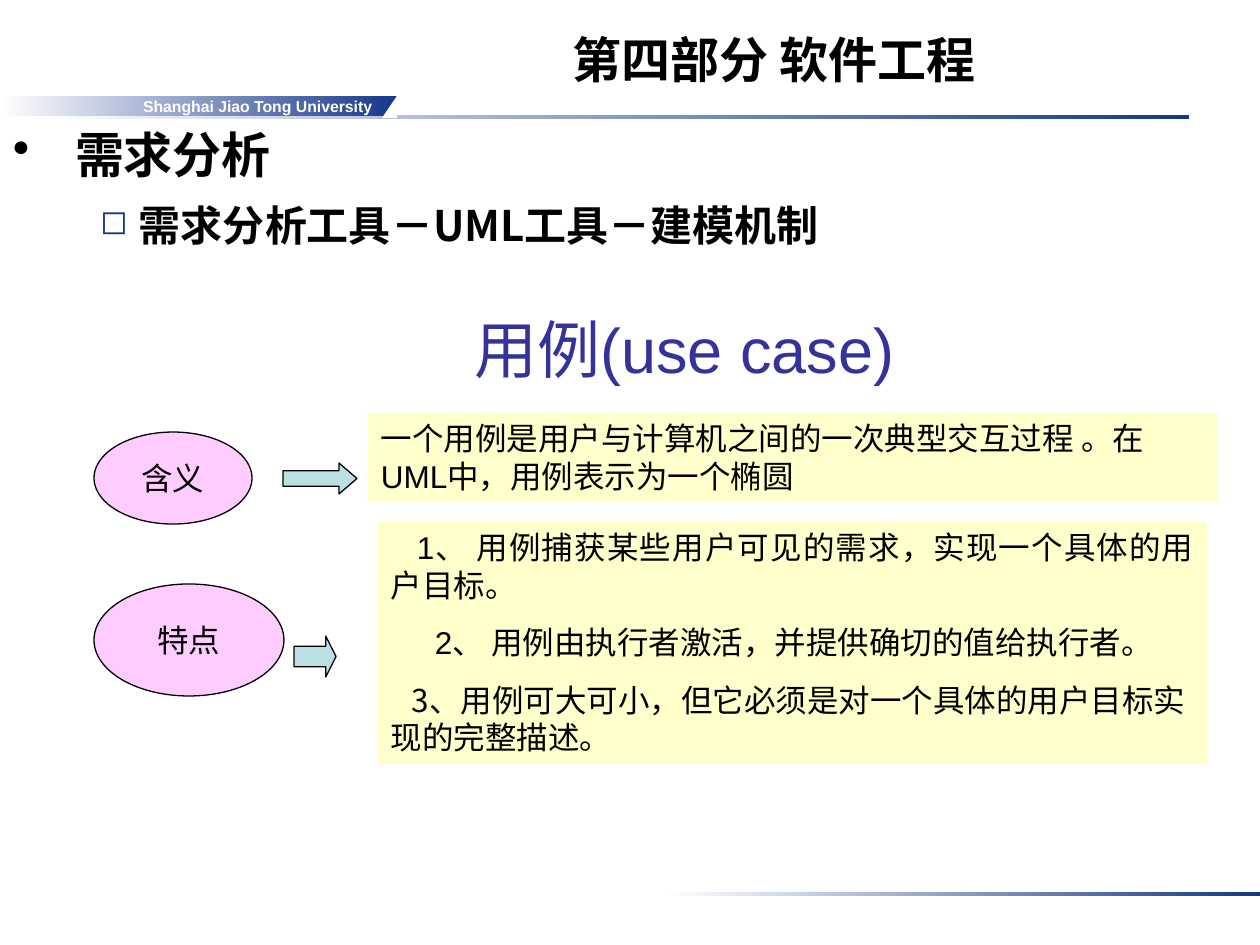
from dataclasses import dataclass

from lxml import etree
from pptx import Presentation
from pptx.dml.color import RGBColor
from pptx.enum.shapes import MSO_SHAPE
from pptx.enum.text import MSO_ANCHOR, MSO_AUTO_SIZE, PP_ALIGN
from pptx.oxml.ns import qn
from pptx.util import Emu, Pt

RECT, OVAL = MSO_SHAPE.RECTANGLE, MSO_SHAPE.OVAL
ARROW, TRIANGLE = MSO_SHAPE.RIGHT_ARROW, MSO_SHAPE.RIGHT_TRIANGLE
LEFT, CENTER, RIGHT, JUSTIFY = PP_ALIGN.LEFT, PP_ALIGN.CENTER, PP_ALIGN.RIGHT, PP_ALIGN.JUSTIFY
TOP, MIDDLE, BOTTOM = MSO_ANCHOR.TOP, MSO_ANCHOR.MIDDLE, MSO_ANCHOR.BOTTOM
GROW = MSO_AUTO_SIZE.SHAPE_TO_FIT_TEXT


@dataclass(frozen=True)
class Theme:
    latin: str = "Arial"
    cjk: str = "Noto Sans CJK SC"
    black: str = "000000"
    white: str = "FFFFFF"
    navy: str = "133984"
    banner: str = "16388A"
    heading: str = "333399"
    note: str = "FFFFCC"
    label: str = "FFCCFF"
    arrow: str = "BBE0E3"
    title_size: int = 28
    topic_size: int = 24
    heading_size: int = 36
    text_size: int = 18
    banner_size: int = 9


THEME = Theme()
PX = 914400 / 126

UNIVERSITY = "Shanghai Jiao Tong University"
TITLE = "第四部分 软件工程"
HEADING = "用例(use case)"
OUTLINE = [
    dict(text="需求分析", latin=THEME.latin, size=THEME.title_size, margin=62, hang=62,
         bullet="•", bullet_color=THEME.black, bullet_percent=100, before=0),
    dict(text="需求分析工具－UML工具－建模机制", latin=THEME.cjk, size=THEME.topic_size, margin=126, hang=39,
         bullet="◻", bullet_color=THEME.banner, bullet_percent=80, before=6),
]
MEANING = [
    (LEFT, 0, [("一个用例是用户与计算机之间的一次典型交互过程", THEME.cjk), (" 。", THEME.latin),
               ("在", THEME.cjk), ("UML", THEME.latin), ("中，用例表示为一个椭圆", THEME.cjk)]),
]
FEATURES = [
    (JUSTIFY, 26, [("1、 ", THEME.latin), ("用例捕获某些用户可见的需求，实现一个具体的用户目标。", THEME.cjk)]),
    (JUSTIFY, 44, [("2、 ", THEME.latin), ("用例由执行者激活，并提供确切的值给执行者。", THEME.cjk)]),
    (LEFT, 21, [("3、用例可大可小，但它必须是对一个具体的用户目标实现的完整描述。", THEME.cjk)]),
]
NOTES = [((368, 413, 850, 88), MEANING), ((378, 522, 829, 242), FEATURES)]
LABELS = [("含义", (94, 432, 158, 92)), ("特点", (94, 584, 190, 112))]
ARROWS = [((283, 463, 74, 31), 0.58), ((294, 636, 42, 41), 0.25)]
RULES = [(39, 115, 1150, 4), (665, 892, 595, 4)]


def px(length):
    return Emu(round(length * PX))


def color(value):
    return RGBColor.from_string(value)


def add_shape(slide, kind, box, fill=None, line=None):
    shape = slide.shapes.add_shape(kind, *map(px, box))
    shape.shadow.inherit = False
    if fill:
        shape.fill.solid()
        shape.fill.fore_color.rgb = color(fill)
    if line:
        shape.line.color.rgb = color(line)
        shape.line.width = Pt(0.75)
    else:
        shape.line.fill.background()
    return shape


def add_fade(slide, box, end):
    shape = add_shape(slide, RECT, box)
    shape.fill.gradient()
    shape.fill.gradient_angle = 0
    for stop, value in zip(shape.fill.gradient_stops, (THEME.white, end)):
        stop.color.rgb = color(value)
    return shape


def set_frame(shape, anchor=TOP, wrap=True, right=13):
    frame = shape.text_frame
    frame.word_wrap = wrap
    frame.vertical_anchor = anchor
    frame.margin_left, frame.margin_right = px(13), px(right)
    frame.margin_top = frame.margin_bottom = px(6)
    return frame


def add_textbox(slide, box, **frame_options):
    return set_frame(slide.shapes.add_textbox(*map(px, box)), **frame_options)


def indent(paragraph, margin, first):
    properties = paragraph._p.get_or_add_pPr()
    properties.set("marL", str(px(margin)))
    properties.set("indent", str(px(first)))
    return properties


def style(paragraph, size, ink=THEME.black, bold=False, align=LEFT, latin=THEME.latin):
    paragraph.alignment = align
    font = paragraph.font
    font.name, font.size, font.bold = latin, Pt(size), bold
    font.color.rgb = color(ink)
    east_asian = etree.SubElement(font._element, qn("a:ea"))
    east_asian.set("typeface", THEME.cjk)


def write(frame, text, size, **options):
    paragraph = frame.paragraphs[0]
    paragraph.text = text
    style(paragraph, size, **options)


def paragraphs_for(frame, items):
    for index, item in enumerate(items):
        yield (frame.add_paragraph() if index else frame.paragraphs[0]), item


def add_bullet(properties, item):
    tint = etree.SubElement(properties, qn("a:buClr"))
    etree.SubElement(tint, qn("a:srgbClr")).set("val", item["bullet_color"])
    etree.SubElement(properties, qn("a:buSzPct")).set("val", str(item["bullet_percent"] * 1000))
    etree.SubElement(properties, qn("a:buChar")).set("char", item["bullet"])


def add_outline(slide):
    frame = add_textbox(slide, (0, 113, 1166, 718))
    for paragraph, item in paragraphs_for(frame, OUTLINE):
        paragraph.text = item["text"]
        add_bullet(indent(paragraph, item["margin"], -item["hang"]), item)
        paragraph.line_spacing = 1.1
        paragraph.space_before = Pt(item["before"])
        style(paragraph, item["size"], bold=True, latin=item["latin"])


def add_note(slide, box, content):
    frame = set_frame(add_shape(slide, RECT, box, THEME.note))
    frame.auto_size = GROW
    for paragraph, (align, first, runs) in paragraphs_for(frame, content):
        indent(paragraph, 0, first)
        paragraph.space_before = Pt(0 if paragraph._p is frame.paragraphs[0]._p else 11.2)
        style(paragraph, THEME.text_size, align=align, latin=runs[0][1])
        for text, latin in runs:
            run = paragraph.add_run()
            run.text = text
            if latin != runs[0][1]:
                run.font.name = latin


def main():
    deck = Presentation()
    deck.slide_width, deck.slide_height = px(1260), px(945)
    slide = deck.slides.add_slide(deck.slide_layouts[6])

    for box in RULES:
        add_fade(slide, box, THEME.navy)
    banner = add_fade(slide, (0, 96, 397, 20), THEME.banner)
    write(set_frame(banner, MIDDLE, wrap=False, right=25), UNIVERSITY, THEME.banner_size,
          ink=THEME.white, bold=True, align=RIGHT)
    notch = add_shape(slide, TRIANGLE, (382, 96, 15, 22), THEME.white)
    notch._element.spPr.xfrm.set("flipH", "1")

    write(add_textbox(slide, (326, 0, 896, 94), anchor=BOTTOM), TITLE, THEME.title_size,
          bold=True, align=CENTER)
    add_outline(slide)
    heading = add_textbox(slide, (375, 305, 636, 88), right=30)
    heading.auto_size = GROW
    write(heading, HEADING, THEME.heading_size, ink=THEME.heading, align=CENTER)

    for box, content in NOTES:
        add_note(slide, box, content)
    for text, box in LABELS:
        label = add_shape(slide, OVAL, box, THEME.label, THEME.black)
        write(set_frame(label, MIDDLE, wrap=False), text, THEME.text_size, align=CENTER)
    for box, head in ARROWS:
        arrow = add_shape(slide, ARROW, box, THEME.arrow, THEME.black)
        arrow.adjustments[0], arrow.adjustments[1] = 0.5, head

    deck.save("out.pptx")


if __name__ == "__main__":
    main()
